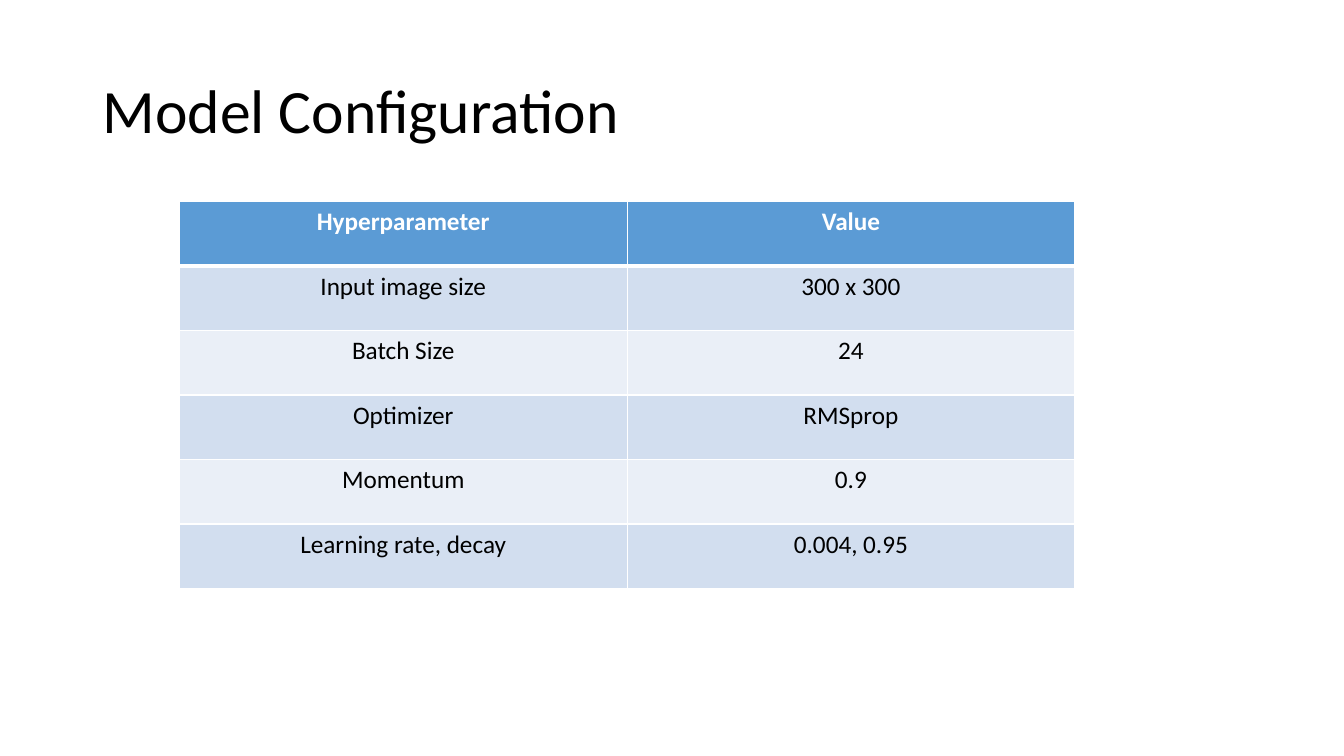
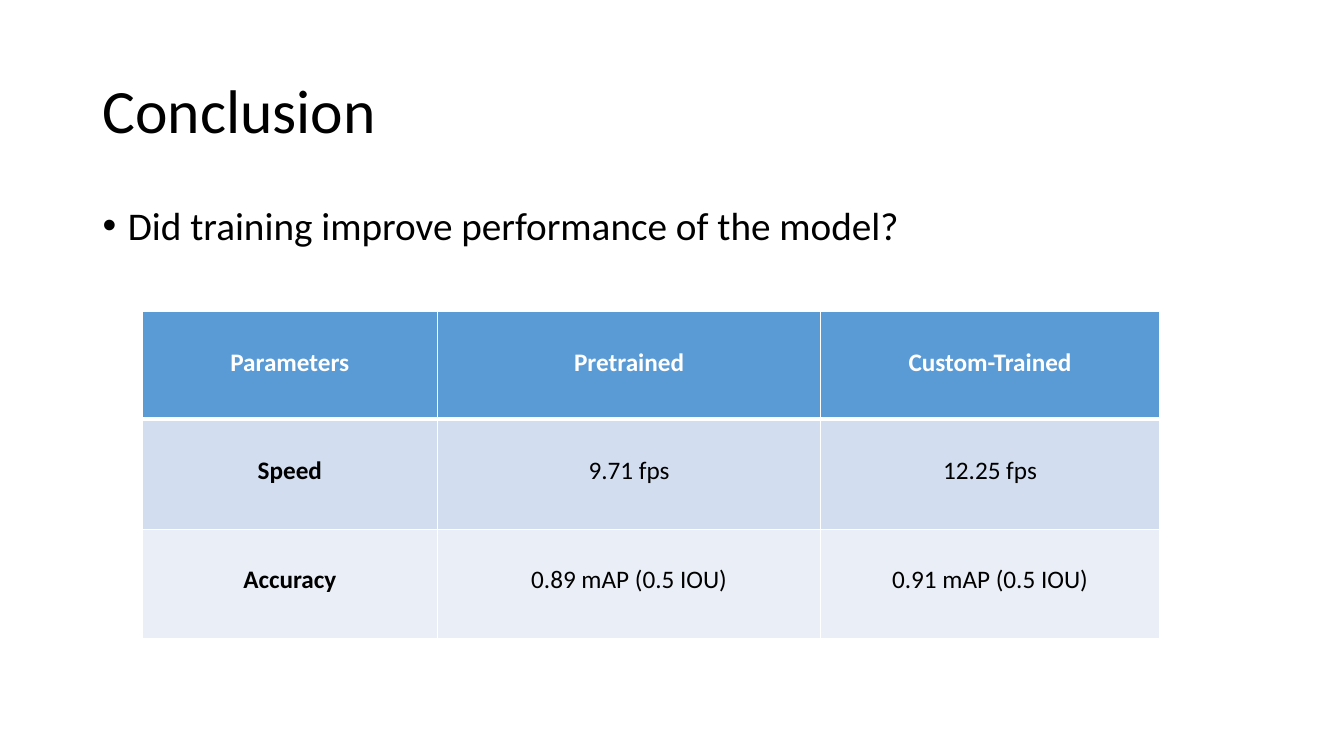
from dataclasses import dataclass

from lxml.etree import SubElement
from pptx import Presentation
from pptx.dml.color import RGBColor
from pptx.enum.text import MSO_ANCHOR, PP_ALIGN
from pptx.oxml.ns import qn
from pptx.util import Emu, Pt

EMU_PER_PX = 9144


def px(length):
    """Convert whole pixels, 100 to the inch, to EMU."""
    return Emu(length * EMU_PER_PX)


@dataclass(frozen=True)
class Theme:
    """Colours, font and type sizes shared by all slides."""

    font: str = "Calibri"
    text: str = "000000"
    inverse: str = "FFFFFF"
    header: str = "5B9BD5"
    bands: tuple = ("D2DEEF", "EAEFF7")
    border: str = "FFFFFF"
    thin_border: int = 1
    thick_border: int = 3
    title_size: int = 44
    body_size: int = 28
    table_size: int = 18
    line_spacing: float = 0.9


class Deck:
    """Presentation builder that holds the theme and the current slide."""

    def __init__(self, theme):
        """Start an empty widescreen presentation."""
        self.theme = theme
        self.presentation = Presentation()
        self.presentation.slide_width = px(1333)
        self.presentation.slide_height = px(750)
        self.slide = None

    def add_slide(self, title):
        """Add a blank slide with its title."""
        self.slide = self.presentation.slides.add_slide(self.presentation.slide_layouts[6])
        text_frame = self.add_text_frame(40, 145, title, self.theme.title_size)
        text_frame.vertical_anchor = MSO_ANCHOR.MIDDLE

    def add_text_frame(self, top, height, text, size):
        """Add a wrapped text box across the content width."""
        shape = self.slide.shapes.add_textbox(px(92), px(top), px(1150), px(height))
        text_frame = shape.text_frame
        text_frame.word_wrap = True
        text_frame.text = text
        paragraph = text_frame.paragraphs[0]
        paragraph.line_spacing = self.theme.line_spacing
        self.format_runs(paragraph, size, self.theme.text)
        return text_frame

    def add_bullet(self, text):
        """Add the body text as one bulleted paragraph."""
        text_frame = self.add_text_frame(200, 476, text, self.theme.body_size)
        properties = text_frame.paragraphs[0]._p.get_or_add_pPr()
        properties.set("marL", str(px(25)))
        properties.set("indent", str(px(-25)))
        SubElement(properties, qn("a:buFont"), typeface="Arial")
        SubElement(properties, qn("a:buChar"), char="•")

    def add_table(self, left, top, widths, heights, rows, line_spacing=1.0, bold_labels=False):
        """Add a table with a header row and banded body rows."""
        frame = self.slide.shapes.add_table(
            len(rows), len(widths), px(left), px(top), px(sum(widths)), px(sum(heights))
        )
        table = frame.table
        table.first_row = table.horz_banding = False
        for column, width in zip(table.columns, widths):
            column.width = px(width)
        for row_index, (row, height, texts) in enumerate(zip(table.rows, heights, rows)):
            row.height = px(height)
            for column_index, (cell, text) in enumerate(zip(row.cells, texts)):
                bold = row_index == 0 or (bold_labels and column_index == 0)
                self.fill_cell(cell, row_index, text, bold, line_spacing)

    def fill_cell(self, cell, row_index, text, bold, line_spacing):
        """Write and style one table cell."""
        theme = self.theme
        is_header = row_index == 0
        self.set_borders(cell, row_index)
        cell.fill.solid()
        fill = theme.header if is_header else theme.bands[(row_index - 1) % 2]
        cell.fill.fore_color.rgb = RGBColor.from_string(fill)
        cell.text_frame.text = text
        paragraph = cell.text_frame.paragraphs[0]
        paragraph.alignment = PP_ALIGN.CENTER
        paragraph.line_spacing = line_spacing
        color = theme.inverse if is_header else theme.text
        self.format_runs(paragraph, theme.table_size, color, bold)

    def set_borders(self, cell, row_index):
        """Draw cell borders with a thick rule below the header."""
        properties = cell._tc.get_or_add_tcPr()
        thick_side = {0: "lnB", 1: "lnT"}.get(row_index)
        for side in ("lnL", "lnR", "lnT", "lnB"):
            width = self.theme.thick_border if side == thick_side else self.theme.thin_border
            line = SubElement(properties, qn(f"a:{side}"), w=str(Pt(width)))
            fill = SubElement(line, qn("a:solidFill"))
            SubElement(fill, qn("a:srgbClr"), val=self.theme.border)

    def format_runs(self, paragraph, size, color, bold=False):
        """Apply the theme font to every run of a paragraph."""
        for run in paragraph.runs:
            run.font.name = self.theme.font
            run.font.size = Pt(size)
            run.font.bold = bold
            run.font.color.rgb = RGBColor.from_string(color)


def main():
    """Build both slides and save the presentation."""
    deck = Deck(Theme())

    deck.add_slide("Model Configuration")
    hyperparameters = [
        ("Hyperparameter", "Value"),
        ("Input image size", "300 x 300"),
        ("Batch Size", "24"),
        ("Optimizer", "RMSprop"),
        ("Momentum", "0.9"),
        ("Learning rate, decay", "0.004, 0.95"),
    ]
    deck.add_table(178, 200, [444] * 2, [64] * len(hyperparameters), hyperparameters)

    deck.add_slide("Conclusion")
    deck.add_bullet("Did training improve performance of the model?")
    results = [
        ("Parameters", "Pretrained", "Custom-Trained"),
        ("Speed", "9.71 fps", "12.25 fps"),
        ("Accuracy", "0.89 mAP (0.5 IOU)", "0.91 mAP (0.5 IOU)"),
    ]
    deck.add_table(
        141, 309, [293, 380, 336], [107, 109, 109], results, line_spacing=2.0, bold_labels=True
    )

    deck.presentation.save("out.pptx")


if __name__ == "__main__":
    main()
